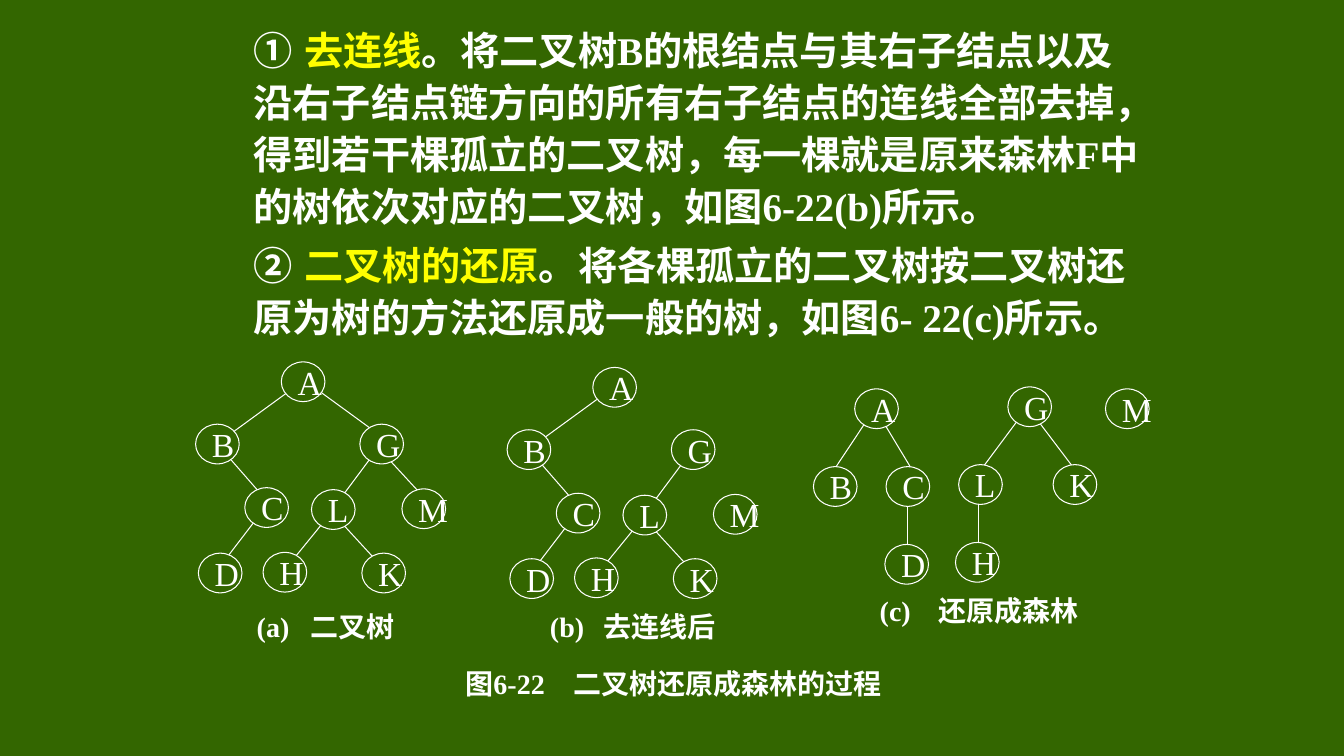
import math

import pptx
import pptx.dml.color
import pptx.enum.shapes
import pptx.enum.text
import pptx.oxml
import pptx.oxml.ns
import pptx.util
from pptx.util import Cm

COLORS = {"background": "336600", "text": "FFFFFF", "highlight": "FFFF00"}
LATIN_FONT, CHINESE_FONT = "Times New Roman", "Noto Sans CJK SC"

# Steps: number, highlighted name, explanation
STEPS = [
    ("①", "去连线", "。将二叉树B的根结点与其右子结点以及沿右子结点链方向的所有右子结点的连线全部去掉，"
     "得到若干棵孤立的二叉树，每一棵就是原来森林F中的树依次对应的二叉树，如图6-22(b)所示。"),
    ("②", "二叉树的还原", "。将各棵孤立的二叉树按二叉树还原为树的方法还原成一般的树，如图6- 22(c)所示。"),
]
STEP_TAB = 1.44

# Captions: text, left, top, width, tab position (cm)
CAPTIONS = [
    ("(a)\t二叉树", 6.22, 15.29, 4.6, 1.35),
    ("(b)\t去连线后", 13.61, 15.27, 5.4, 1.35),
    ("(c)\t还原成森林", 21.92, 14.88, 6.3, 1.47),
    ("图6-22\t二叉树还原成森林的过程", 11.48, 16.71, 11.8, 2.72),
]

# Nodes: left and top (cm)
BINARY_NODES = {
    "A": (7.09, 9.12), "B": (4.93, 10.69), "C": (6.17, 12.29),
    "D": (5.0, 13.94), "G": (9.07, 10.69), "L": (7.85, 12.34),
    "K": (9.12, 13.94), "H": (6.63, 13.92), "M": (10.13, 12.32),
}
FOREST_NODES = {
    "A": (21.54, 9.8), "B": (20.5, 11.76), "C": (22.33, 11.76),
    "D": (22.3, 13.72), "G": (25.4, 9.75), "L": (24.16, 11.71),
    "K": (26.54, 11.71), "H": (24.08, 13.67), "M": (27.86, 9.8),
}

# Edges: horizontal offsets (cm) from the centres of parent and child
KEPT_EDGES = {
    "AB": (-0.44, 0.42), "BC": (0.34, -0.24), "CD": (-0.34, 0.22),
    "GL": (-0.32, 0.29), "LK": (0.29, -0.29), "LH": (-0.32, 0.29),
}
CUT_EDGES = {"AG": (0.46, -0.31), "GM": (0.24, -0.17)}
FOREST_EDGES = {
    "AB": (-0.32, 0.02), "AC": (0.24, 0.06), "CD": (-0.02, 0.01),
    "GL": (-0.34, 0.1), "GK": (0.27, -0.09), "LH": (-0.06, 0.02),
}

# Trees: nodes, edges, shift right and down (cm)
TREES = [
    (BINARY_NODES, KEPT_EDGES | CUT_EDGES, 0, 0),
    (BINARY_NODES, KEPT_EDGES, 7.85, 0.14),
    (FOREST_NODES, FOREST_EDGES, 0, 0),
]
NODE_WIDTH, NODE_HEIGHT = 1.1, 1.0


def color(name):
    return pptx.dml.color.RGBColor.from_string(COLORS[name])


def add_element(parent, tag, **attributes):
    child = parent.makeelement(pptx.oxml.ns.qn(tag), attributes)
    parent.append(child)
    return child


def set_tab(paragraph, position, left, indent):
    properties = paragraph._p.get_or_add_pPr()
    properties.set("marL", str(Cm(left)))
    properties.set("indent", str(Cm(indent)))
    add_element(properties, "a:buNone")
    tabs = add_element(properties, "a:tabLst")
    add_element(tabs, "a:tab", pos=str(Cm(position)), algn="l")


def set_font(paragraph, size, bold):
    font = paragraph.font
    font.name = LATIN_FONT
    font.size = pptx.util.Pt(size)
    font.bold = bold
    font.color.rgb = color("text")
    add_element(font._element, "a:ea", typeface=CHINESE_FONT)


def set_label(shape, text, size, bold=False, tab=None):
    frame = shape.text_frame
    frame.word_wrap = tab is not None
    frame.vertical_anchor = pptx.enum.text.MSO_ANCHOR.MIDDLE
    paragraph = frame.paragraphs[0]
    paragraph.add_run().text = text
    paragraph.alignment = pptx.enum.text.PP_ALIGN.LEFT
    if tab:
        set_tab(paragraph, tab, tab, -tab)
    set_font(paragraph, size, bold)


def set_line(line):
    line.color.rgb = color("text")
    line.width = pptx.util.Pt(0.75)


def outline_point(corner, offset, side):
    """Point on a node's outline, below (side 1) or above (side -1) its centre."""
    rise = NODE_HEIGHT / 2 * math.sqrt(1 - (2 * offset / NODE_WIDTH) ** 2)
    return (Cm(corner[0] + NODE_WIDTH / 2 + offset),
            Cm(corner[1] + NODE_HEIGHT / 2 + side * rise))


def add_tree(shapes, nodes, edges, right, down):
    corners = {name: (x + right, y + down) for name, (x, y) in nodes.items()}
    for name, (left, top) in corners.items():
        node = shapes.add_shape(pptx.enum.shapes.MSO_SHAPE.OVAL, Cm(left), Cm(top),
                                Cm(NODE_WIDTH), Cm(NODE_HEIGHT))
        node.shadow.inherit = False
        node.fill.background()
        set_line(node.line)
        set_label(node, name, 24)
    for (parent, child), (start, end) in edges.items():
        edge = shapes.add_connector(
            pptx.enum.shapes.MSO_CONNECTOR.STRAIGHT,
            *outline_point(corners[parent], start, 1),
            *outline_point(corners[child], end, -1))
        set_line(edge.line)
        add_element(edge._element.spPr, "a:effectLst")


def add_steps(body):
    body.left, body.top, body.width, body.height = Cm(6.14), Cm(0.43), Cm(23.07), Cm(8.51)
    frame = body.text_frame
    frame.word_wrap = True
    frame.auto_size = pptx.enum.text.MSO_AUTO_SIZE.NONE
    frame.vertical_anchor = pptx.enum.text.MSO_ANCHOR.TOP
    for index, (number, name, explanation) in enumerate(STEPS):
        paragraph = frame.add_paragraph() if index else frame.paragraphs[0]
        set_tab(paragraph, STEP_TAB, 0, 0)
        paragraph.line_spacing = 1.1
        paragraph.space_before = pptx.util.Pt(5.6 if index else 0)
        set_font(paragraph, 28, True)
        paragraph.add_run().text = number + "\t"
        highlight = paragraph.add_run()
        highlight.text = name
        highlight.font.color.rgb = color("highlight")
        paragraph.add_run().text = explanation


def main():
    presentation = pptx.Presentation()
    presentation.slide_width, presentation.slide_height = Cm(33.87), Cm(19.05)
    slide = presentation.slides.add_slide(presentation.slide_layouts[1])
    slide.background.fill.solid()
    slide.background.fill.fore_color.rgb = color("background")

    # Explanation
    title = slide.shapes.title._element
    title.getparent().remove(title)
    add_steps(slide.placeholders[1])

    # Trees
    for tree in TREES:
        add_tree(slide.shapes, *tree)

    # Captions
    for text, left, top, width, tab in CAPTIONS:
        caption = slide.shapes.add_textbox(Cm(left), Cm(top), Cm(width), Cm(1))
        set_label(caption, text, 20, True, tab)

    presentation.save("out.pptx")


if __name__ == "__main__":
    main()
